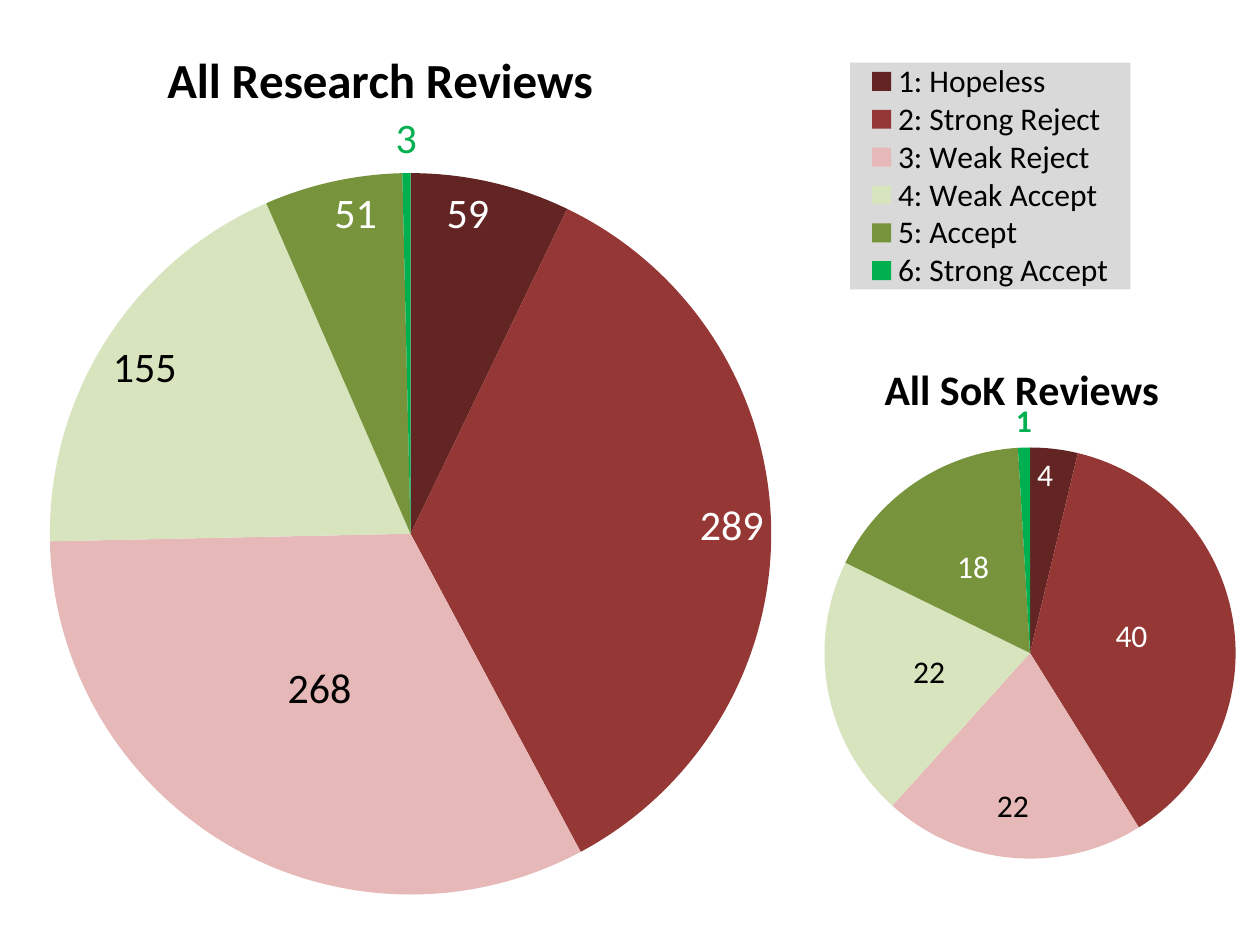
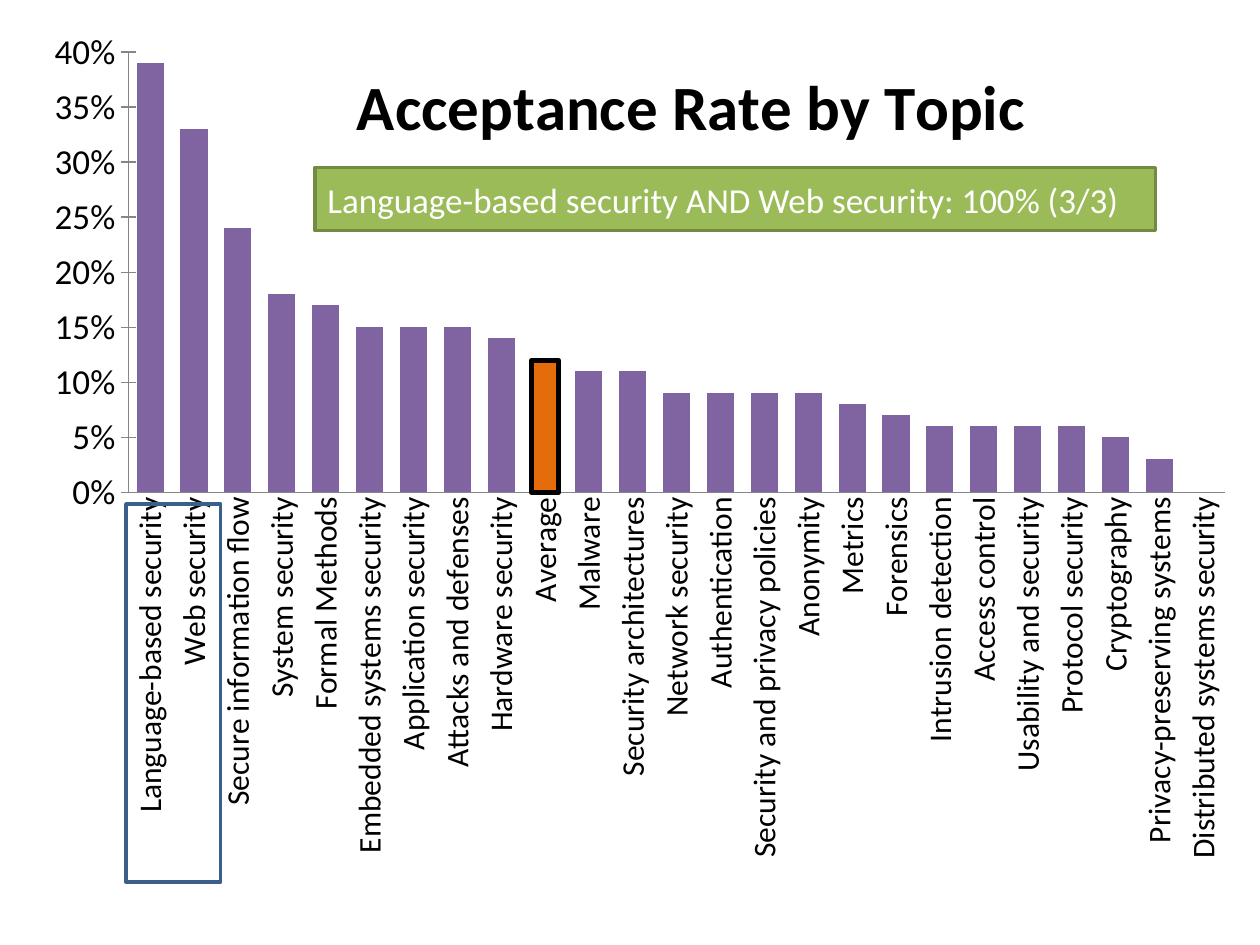
import pptx
import pptx.chart.data
import pptx.dml.color
import pptx.enum.chart
import pptx.enum.shapes
import pptx.enum.text
import pptx.oxml
import pptx.oxml.ns
import pptx.util

RGB = pptx.dml.color.RGBColor
Inches, Pt = pptx.util.Inches, pptx.util.Pt
ChartType = pptx.enum.chart.XL_CHART_TYPE
Tick = pptx.enum.chart.XL_TICK_MARK
Place = pptx.enum.chart.XL_LABEL_POSITION
qn = pptx.oxml.ns.qn

FONT = "Calibri"
BLACK = RGB(0, 0, 0)
WHITE = RGB(0xFF, 0xFF, 0xFF)
HOPELESS = RGB(0x63, 0x25, 0x23)
STRONG_REJECT = RGB(0x95, 0x37, 0x35)
WEAK_REJECT = RGB(0xE6, 0xB9, 0xB8)
WEAK_ACCEPT = RGB(0xD7, 0xE4, 0xBD)
ACCEPT = RGB(0x77, 0x93, 0x3C)
STRONG_ACCEPT = RGB(0x00, 0xB0, 0x50)
LEGEND_GREY = RGB(0xD9, 0xD9, 0xD9)
AXIS_GREY = RGB(0x86, 0x86, 0x86)
PURPLE = RGB(0x80, 0x64, 0xA2)
ORANGE = RGB(0xE4, 0x6C, 0x0A)
BLUE = RGB(0x3A, 0x5F, 0x8C)
CALLOUT_GREEN = RGB(0x9B, 0xBB, 0x59)
CALLOUT_EDGE = RGB(0x73, 0x8A, 0x42)

SCORES = [
    ("1: Hopeless", HOPELESS, WHITE),
    ("2: Strong Reject", STRONG_REJECT, WHITE),
    ("3: Weak Reject", WEAK_REJECT, BLACK),
    ("4: Weak Accept", WEAK_ACCEPT, BLACK),
    ("5: Accept", ACCEPT, WHITE),
    ("6: Strong Accept", STRONG_ACCEPT, STRONG_ACCEPT),
]
OUT, END, MID = Place.OUTSIDE_END, Place.INSIDE_END, Place.CENTER

RESEARCH = {
    "frame": (-1.58, 0, 11.83, 7.5),
    "categories": [name for name, _, _ in SCORES],
    "values": [59, 289, 268, 155, 51, 3],
    "title": ("All Research Reviews", 28, (0.24, 0.04)),
    "plot": (0.167, 0.183, 0.484, 0.764),
    "labels": (24, [END, END, MID, END, END, OUT]),
}
SOK = {
    "frame": (4.75, 2.25, 6.5, 5.08),
    "categories": [name[0] for name, _, _ in SCORES],
    "values": [4, 40, 22, 22, 18, 1],
    "title": ("All SoK Reviews", 24, (0.34, 0.11)),
    "plot": (0.276, 0.204, 0.502, 0.747),
    "labels": (18, [END, MID, MID, MID, MID, OUT]),
}
LEGEND_BOX = (0.704, 0.066, 0.188, 0.24)
SOK_WEAK_REJECT_SHIFT = (-0.01, 0.08)

RATES = [
    ("Language-based security", 0.39), ("Web security", 0.33),
    ("Secure information flow", 0.24), ("System security", 0.18),
    ("Formal Methods", 0.17), ("Embedded systems security", 0.15),
    ("Application security", 0.15), ("Attacks and defenses", 0.15),
    ("Hardware security", 0.14), ("Average", 0.12), ("Malware", 0.11),
    ("Security architectures", 0.11), ("Network security", 0.09),
    ("Authentication", 0.09), ("Security and privacy policies", 0.09),
    ("Anonymity", 0.09), ("Metrics", 0.08), ("Forensics", 0.07),
    ("Intrusion detection", 0.06), ("Access control", 0.06),
    ("Usability and security", 0.06), ("Protocol security", 0.06),
    ("Cryptography", 0.05), ("Privacy-preserving systems", 0.03),
    ("Distributed systems security", 0),
]
TOPICS = {
    "frame": (0.13, 0.16, 9.75, 7.25),
    "categories": [topic for topic, _ in RATES],
    "values": [rate for _, rate in RATES],
    "title": ("Acceptance Rate by Topic", 36, (0.268, 0.034)),
    "plot": (0.091, 0.035, 0.893, 0.482),
}
CALLOUT = "Language-based security AND Web security: 100% (3/3)"


def set_font(font, size, color=BLACK, bold=False):
    font.name = FONT
    font.size = Pt(size)
    font.bold = bold
    font.color.rgb = color


def set_layout(parent, spots, inner=False, fixed=True):
    for old in parent.findall(qn("c:layout")):
        parent.remove(old)
    parts = '<c:layoutTarget val="inner"/>' if inner else ""
    if fixed:
        parts += '<c:xMode val="edge"/><c:yMode val="edge"/>'
    parts += "".join(f'<c:{key} val="{spot}"/>' for key, spot in zip("xywh", spots))
    layout = pptx.oxml.parse_xml(
        f'<c:layout {pptx.oxml.ns.nsdecls("c")}>'
        f"<c:manualLayout>{parts}</c:manualLayout></c:layout>")
    leading = {qn("c:idx"), qn("c:tx"), qn("c:legendPos")}
    parent.insert(sum(child.tag in leading for child in parent), layout)


def add_chart(slide, kind, content):
    chart_data = pptx.chart.data.CategoryChartData()
    chart_data.categories = content["categories"]
    chart_data.add_series("Series 1", content["values"])
    frame = [Inches(length) for length in content["frame"]]
    chart = slide.shapes.add_chart(kind, *frame, chart_data).chart
    set_font(chart.font, 18)
    chart.has_legend = False
    text, size, corner = content["title"]
    chart.has_title = True
    heading = chart.chart_title.text_frame
    heading.text = text
    set_font(heading.paragraphs[0].font, size, bold=True)
    title = chart.chart_title._element
    set_layout(title, corner)
    title.find(qn("c:overlay")).set("val", "1")
    set_layout(chart._chartSpace.chart.plotArea, content["plot"], inner=True)
    return chart


def add_pie(slide, content):
    chart = add_chart(slide, ChartType.PIE, content)
    plot = chart.plots[0]
    plot.vary_by_categories = True
    size, places = content["labels"]
    plot.has_data_labels = True
    plot.data_labels.show_value = True
    plot.data_labels.show_percentage = False
    for index, ((_, fill, ink), place) in enumerate(zip(SCORES, places)):
        point = plot.series[0].points[index]
        point.format.fill.solid()
        point.format.fill.fore_color.rgb = fill
        point.format.line.fill.background()
        bold = content is SOK and place == OUT
        set_font(point.data_label.font, size, ink, bold)
        point.data_label.position = place
    return chart


def add_legend(chart):
    chart.has_legend = True
    legend = chart.legend
    legend.position = pptx.enum.chart.XL_LEGEND_POSITION.RIGHT
    legend.include_in_layout = False
    set_font(legend.font, 18)
    set_layout(legend._element, LEGEND_BOX)
    legend._element.find(qn("c:overlay")).addnext(pptx.oxml.parse_xml(
        f'<c:spPr {pptx.oxml.ns.nsdecls("c", "a")}><a:solidFill>'
        f'<a:srgbClr val="{LEGEND_GREY}"/></a:solidFill></c:spPr>'))


def add_box(slide, frame, edge, fill=None):
    box = slide.shapes.add_shape(
        pptx.enum.shapes.MSO_SHAPE.RECTANGLE, *[Inches(length) for length in frame])
    box.shadow.inherit = False
    box.line.color.rgb = edge
    box.line.width = Pt(2)
    if fill is None:
        box.fill.background()
    else:
        box.fill.solid()
        box.fill.fore_color.rgb = fill
    return box


def build_reviews(slide):
    add_legend(add_pie(slide, RESEARCH))
    sok = add_pie(slide, SOK)
    weak_reject = sok.plots[0].series[0]._element.findall(".//" + qn("c:dLbl"))[2]
    set_layout(weak_reject, SOK_WEAK_REJECT_SHIFT, fixed=False)


def build_topics(slide):
    chart = add_chart(slide, ChartType.COLUMN_CLUSTERED, TOPICS)
    plot = chart.plots[0]
    plot.gap_width = 62
    plot.vary_by_categories = False
    bars = plot.series[0]
    bars.format.fill.solid()
    bars.format.fill.fore_color.rgb = PURPLE
    average = bars.points[TOPICS["categories"].index("Average")].format
    average.fill.solid()
    average.fill.fore_color.rgb = ORANGE
    average.line.color.rgb = BLACK
    average.line.width = Pt(3)

    topics, rates = chart.category_axis, chart.value_axis
    for axis, size, tick in ((topics, 18, Tick.NONE), (rates, 20, Tick.CROSS)):
        axis.has_major_gridlines = False
        axis.major_tick_mark = tick
        axis.minor_tick_mark = Tick.NONE
        axis.format.line.color.rgb = AXIS_GREY
        axis.format.line.width = Pt(0.75)
        set_font(axis.tick_labels.font, size)
    turned = topics._element.find(qn("c:txPr")).find(qn("a:bodyPr"))
    turned.set("rot", "-5400000")
    turned.set("vert", "horz")
    rates.minimum_scale, rates.maximum_scale, rates.major_unit = 0, 0.4, 0.05
    rates.tick_labels.number_format = "0%"
    rates.tick_labels.number_format_is_linked = False

    add_box(slide, (1, 4, 0.75, 3), BLUE)
    callout = add_box(slide, (2.5, 1.33, 6.67, 0.5), CALLOUT_EDGE, CALLOUT_GREEN)
    frame = callout.text_frame
    frame.word_wrap = False
    frame.vertical_anchor = pptx.enum.text.MSO_ANCHOR.MIDDLE
    frame.text = CALLOUT
    frame.paragraphs[0].alignment = pptx.enum.text.PP_ALIGN.LEFT
    set_font(frame.paragraphs[0].font, 20, WHITE)


def main():
    deck = pptx.Presentation()
    deck.slide_width, deck.slide_height = Inches(10), Inches(7.5)
    blank = deck.slide_layouts[6]
    for build in (build_reviews, build_topics):
        build(deck.slides.add_slide(blank))
    deck.save("out.pptx")


if __name__ == "__main__":
    main()
